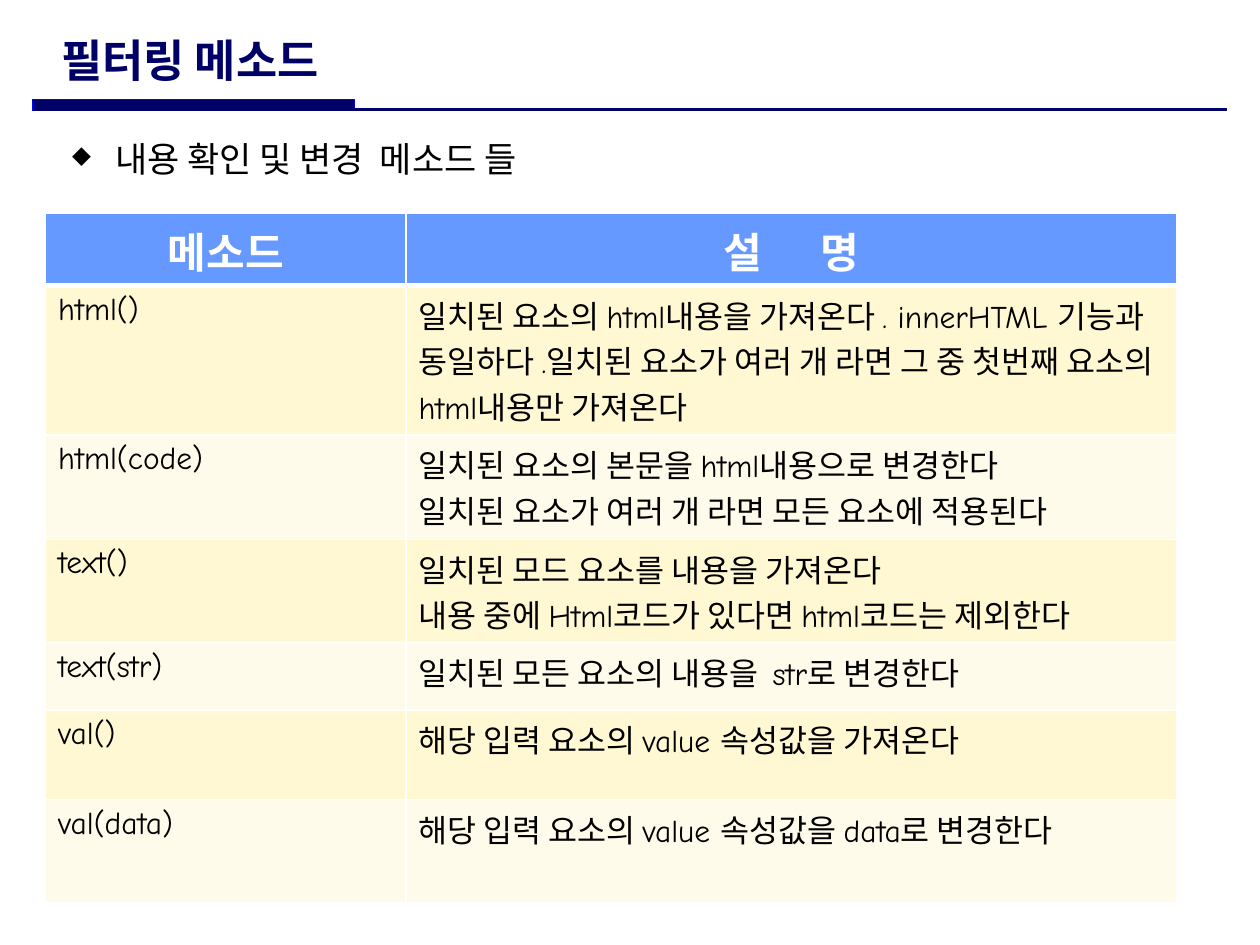
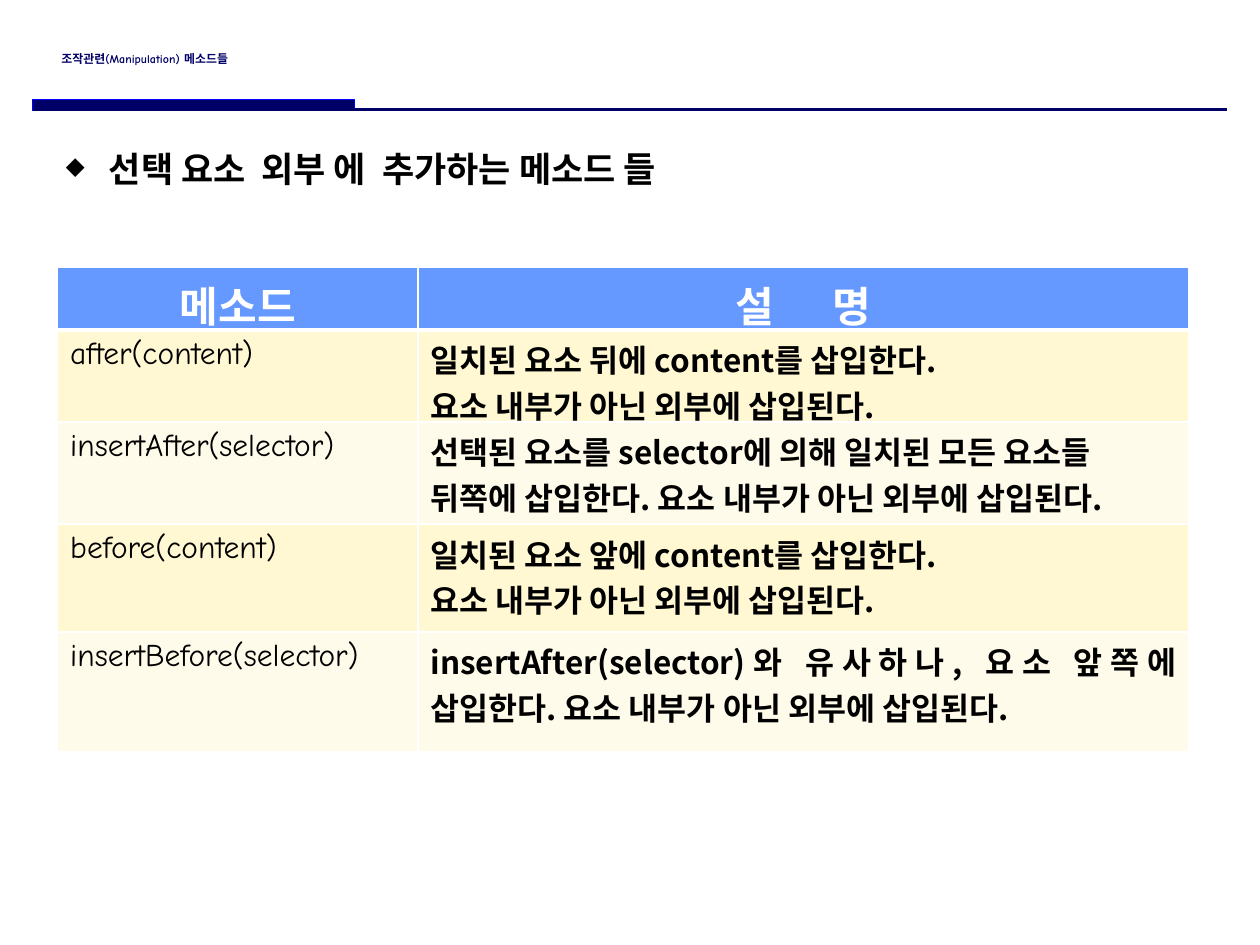
import pptx
import pptx.util
import pptx.dml.color
import pptx.enum.shapes
import pptx.enum.text
import pptx.oxml
import pptx.oxml.ns

HUES = {
    "navy": "000066", "edge": "0000FF", "head": "6699FF", "white": "FFFFFF",
    "black": "000000", "odd": "FFF8D3", "even": "FFFBEA",
}
COMIC, ARIAL, NOTO = "Comic Neue", "Arial", "Noto Sans CJK KR"
ALIGN = pptx.enum.text.PP_ALIGN
COLS, ROWS = 100, 75  # square grid over the slide
UNIT = pptx.util.Inches(0.1)


def hue(name):
    return pptx.dml.color.RGBColor.from_string(HUES[name])


def node(parent, tag, **attrs):
    """Add a drawing element below a parent."""
    child = pptx.oxml.parse_xml(f"<a:{tag} {pptx.oxml.ns.nsdecls('a')}/>")
    for key, value in attrs.items():
        child.set(key, str(value))
    parent.append(child)
    return child


def write(par, text, size=18, font=COMIC, color="black", bold=False,
          align=None, track=0):
    """Add a run to a paragraph; track is extra letter space in points."""
    if align is not None:
        par.alignment = align
    run = par.add_run()
    run.text = text
    face = run.font
    face.size, face.name, face.bold = pptx.util.Pt(size), font, bold
    face.color.rgb = hue(color)
    props = run._r.get_or_add_rPr()
    node(props, "ea", typeface=NOTO)
    if track:
        props.set("spc", str(track * 100))


class Deck:
    def __init__(self):
        self.show = pptx.Presentation()
        self.show.slide_width = COLS * UNIT
        self.show.slide_height = ROWS * UNIT
        self.page = None

    def grid(self, *cells):
        return [round(cell * UNIT) for cell in cells]

    def start(self, title, size, width):
        """Open a slide with its title, bar and rule."""
        self.page = self.show.slides.add_slide(self.show.slide_layouts[6])
        self.bar(2.6, 7.9, 25.55, 0.87)
        self.rule(2.6, 8.67, 97.35, 8.67)
        frame = self.box(3.88, 2.1, width, 5.2)
        frame.vertical_anchor = pptx.enum.text.MSO_ANCHOR.MIDDLE
        write(frame.paragraphs[0], title, size=size, color="navy", bold=True)

    def bar(self, *place):
        kind = pptx.enum.shapes.MSO_SHAPE.RECTANGLE
        shape = self.page.shapes.add_shape(kind, *self.grid(*place))
        shape.shadow.inherit = False
        shape.fill.solid()
        shape.fill.fore_color.rgb = hue("navy")
        shape.line.color.rgb = hue("edge")
        shape.line.width = pptx.util.Pt(0.75)

    def rule(self, *ends):
        kind = pptx.enum.shapes.MSO_CONNECTOR.STRAIGHT
        line = self.page.shapes.add_connector(kind, *self.grid(*ends))
        line.line.color.rgb = hue("navy")
        line.line.width = pptx.util.Pt(1.5)
        node(line._element.spPr, "effectLst")

    def box(self, *place):
        frame = self.page.shapes.add_textbox(*self.grid(*place)).text_frame
        frame.word_wrap = True
        return frame

    def lead(self, text, left, top, bold=False):
        """Add the bulleted line above the table."""
        frame = self.box(left, top, 68.1, 4.3)
        frame.auto_size = pptx.enum.text.MSO_AUTO_SIZE.SHAPE_TO_FIT_TEXT
        par = frame.paragraphs[0]
        props = par._p.get_or_add_pPr()
        margin, hang = self.grid(4.05, -3.4)
        props.set("marL", str(margin))
        props.set("indent", str(hang))
        node(node(props, "buClr"), "srgbClr", val=HUES["black"])
        node(props, "buSzPct", val=70000)
        node(props, "buChar", char="◆")
        write(par, text, size=20, font=ARIAL, bold=bold)

    def cell(self, cell, fill, base):
        """Set the fill and white borders of a cell."""
        props = cell._tc.get_or_add_tcPr()
        for side in ("lnL", "lnR", "lnT", "lnB"):
            width = base if side == "lnB" else 0.96
            line = node(props, side, w=round(width * 12700))
            node(node(line, "solidFill"), "srgbClr", val=HUES["white"])
        cell.fill.solid()
        cell.fill.fore_color.rgb = hue(fill)

    def table(self, left, top, highs, items, foot=0.5, **style):
        """Add a method table; style formats the right-hand column."""
        wides = (28.6, 61.2)
        grid = self.page.shapes.add_table(
            len(highs), len(wides),
            *self.grid(left, top, sum(wides), sum(highs))).table
        for col, wide in zip(grid.columns, self.grid(*wides)):
            col.width = wide
        for row, high in zip(grid.rows, self.grid(*highs)):
            row.height = high

        # Header row
        head = dict(size=24, color="white", bold=True, align=ALIGN.CENTER)
        for spot in grid.rows[0].cells:
            self.cell(spot, "head", 3)
            spot.margin_bottom = self.grid(foot)[0]
        name, note = [c.text_frame.paragraphs[0] for c in grid.rows[0].cells]
        write(name, "메소드", **head)
        write(note, "설", **head)
        write(note, " ", track=28, **head)
        write(note, "명", **head)

        # Body rows in alternating fills
        for at, (call, *lines) in enumerate(items, 1):
            for spot in grid.rows[at].cells:
                self.cell(spot, "odd" if at % 2 else "even", 0.96)
                spot.margin_bottom = self.grid(foot)[0]
            write(grid.cell(at, 0).text_frame.paragraphs[0], call)
            frame = grid.cell(at, 1).text_frame
            for nth, line in enumerate(lines):
                par = frame.add_paragraph() if nth else frame.paragraphs[0]
                write(par, line, **style)


FILTER = [
    ("html()", "일치된 요소의 html내용을 가져온다 . innerHTML 기능과 동일하다 "
     ".일치된 요소가 여러 개 라면 그 중 첫번째 요소의 html내용만 가져온다"),
    ("html(code)", "일치된 요소의 본문을 html내용으로 변경한다",
     "일치된 요소가 여러 개 라면 모든 요소에 적용된다"),
    ("text()", "일치된 모드 요소를 내용을 가져온다",
     "내용 중에 Html코드가 있다면 html코드는 제외한다"),
    ("text(str)", "일치된 모든 요소의 내용을  str로 변경한다"),
    ("val()", "해당 입력 요소의 value 속성값을 가져온다"),
    ("val(data)", "해당 입력 요소의 value 속성값을 data로 변경한다"),
]
OUTER = "요소 내부가 아닌 외부에 삽입된다."
INSERT = [
    ("after(content)", "일치된 요소 뒤에 content를 삽입한다.", OUTER),
    ("insertAfter(selector)",
     "선택된 요소를 selector에 의해 일치된 모든 요소들",
     "뒤쪽에 삽입한다. " + OUTER),
    ("before(content)", "일치된 요소 앞에 content를 삽입한다.", OUTER),
    ("insertBefore(selector)",
     "insertAfter(selector)와 유사하나, 요소 앞쪽에 삽입한다. " + OUTER),
]


def main():
    deck = Deck()

    # Filtering methods
    deck.start("필터링 메소드", 25.6, 67.9)
    deck.table(3.62, 16.95, (5.7, 11.88, 8.28, 8.2, 5.35, 7.1, 8.2), FILTER)
    deck.lead("내용 확인 및 변경  메소드 들", 4.1, 10.4)

    # Manipulation methods
    deck.start("조작관련(Manipulation) 메소드들", 6.8, 83.2)
    deck.table(4.57, 21.2, (5, 7.3, 8.1, 8.55, 9.5), INSERT, foot=0,
               font=NOTO, bold=True, align=ALIGN.JUSTIFY)
    deck.lead("선택 요소  외부 에  추가하는 메소드 들", 3.6, 11.2, bold=True)

    deck.show.save("out.pptx")


if __name__ == "__main__":
    main()
